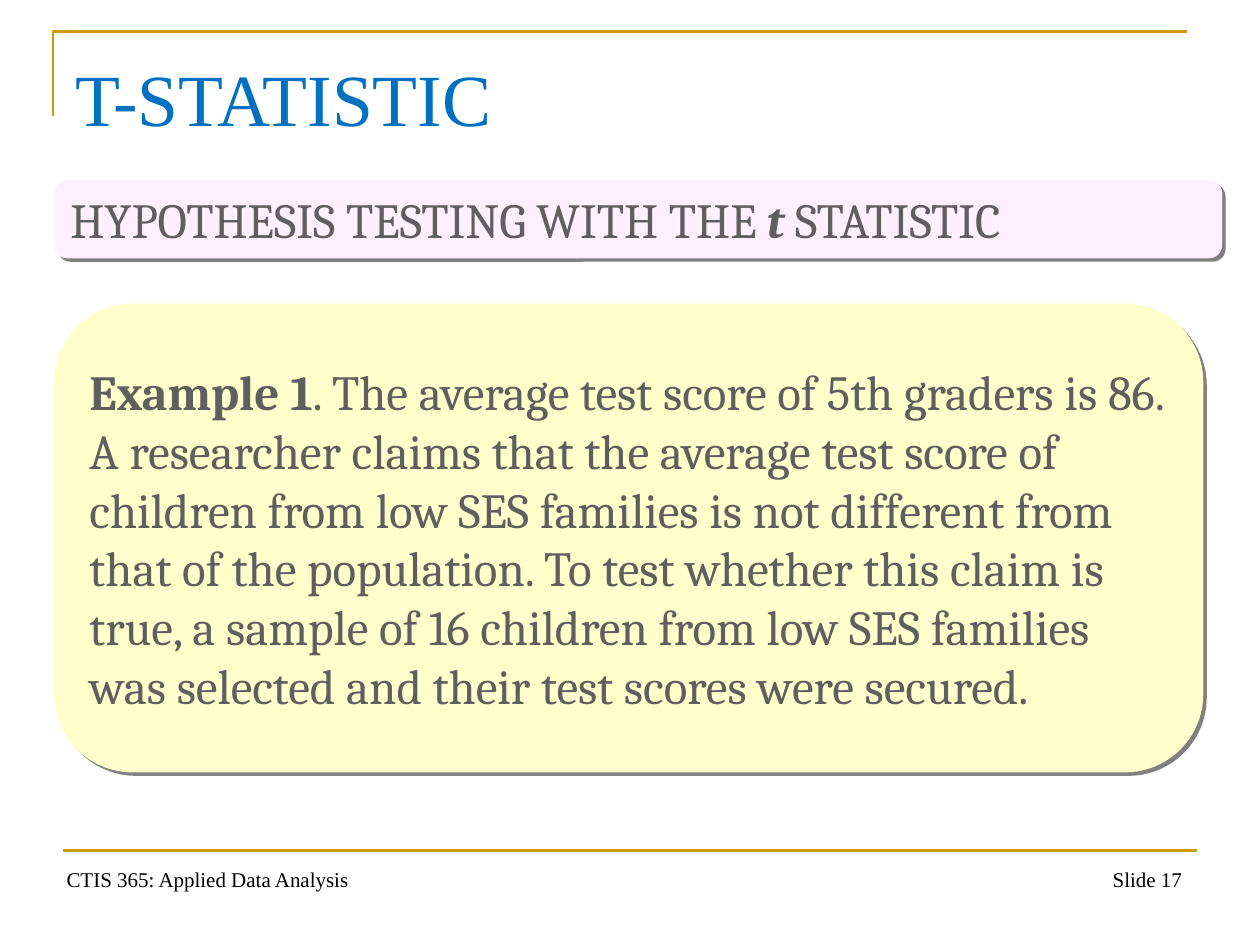
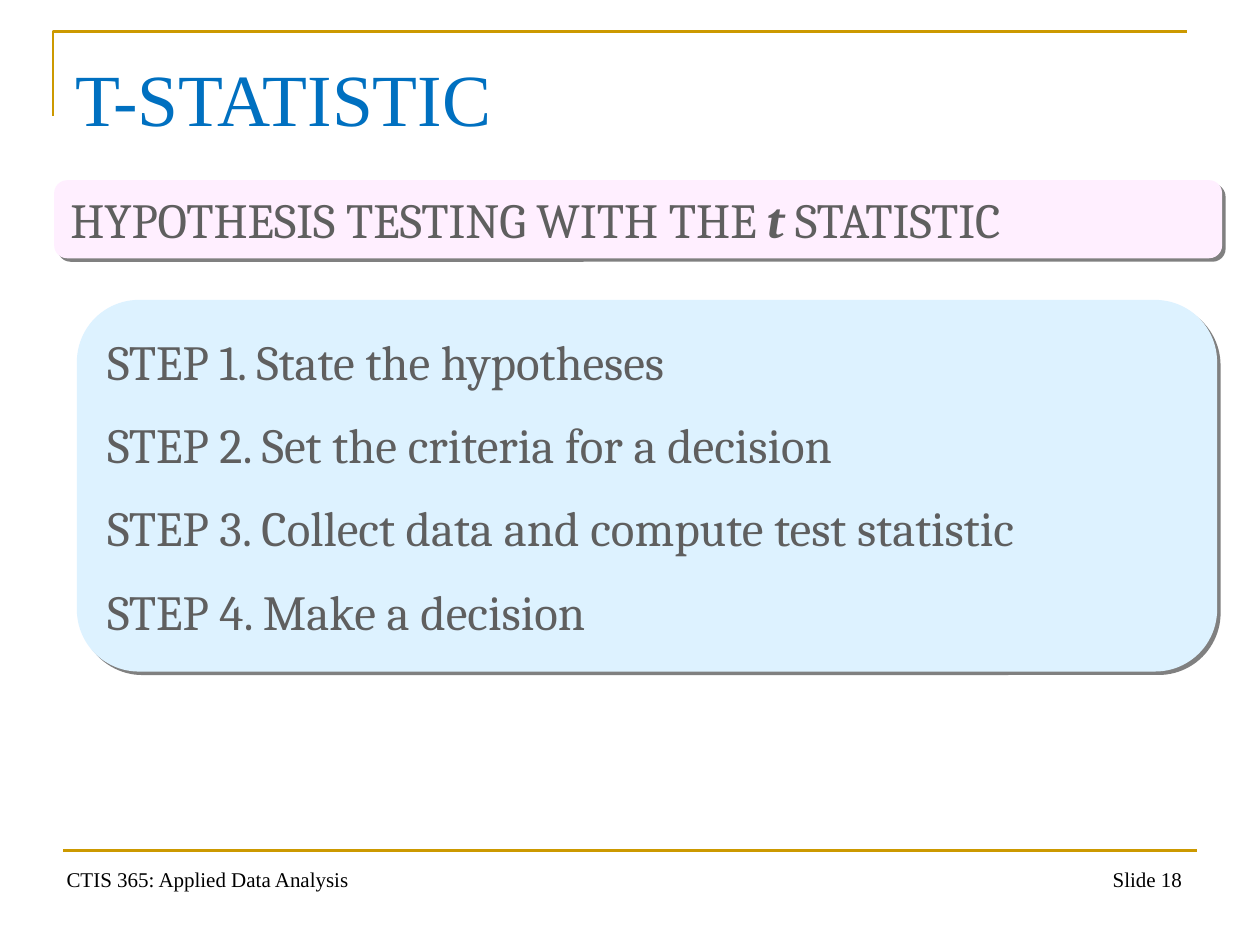
import pptx
import pptx.dml.color
import pptx.enum.shapes
import pptx.enum.text
import pptx.oxml
import pptx.oxml.ns
import pptx.util
from pptx.util import Inches

COLORS = {
    "gold": "CC9900", "title": "0070C0", "text": "5F5F5F", "foot": "000000",
    "shade": "808080", "pink": "FFEFFF", "cream": "FFFFCC", "sky": "DDF2FF",
}
TOP, MIDDLE, BOTTOM = (
    pptx.enum.text.MSO_ANCHOR.TOP,
    pptx.enum.text.MSO_ANCHOR.MIDDLE,
    pptx.enum.text.MSO_ANCHOR.BOTTOM,
)
LEFT, RIGHT = pptx.enum.text.PP_ALIGN.LEFT, pptx.enum.text.PP_ALIGN.RIGHT

# Font formats
SERIF = "Times New Roman"
TITLE = {"name": SERIF, "size": pptx.util.Pt(42), "color": "title"}
FOOT = {"name": SERIF, "size": pptx.util.Pt(12), "color": "foot"}
BODY = {"name": "Cambria", "size": pptx.util.Pt(28), "color": "text"}
BOLD = {"bold": True}
STAT = {"bold": True, "italic": True}


def rgb(key):
    return pptx.dml.color.RGBColor.from_string(COLORS[key])


class Deck:
    def __init__(self):
        self.file = pptx.Presentation()
        self.file.slide_width, self.file.slide_height = Inches(10), Inches(7.5)
        self.slide = None

    def page(self, number):
        """Start a slide with the shared frame, title, topic and footer."""
        self.slide = self.file.slides.add_slide(self.file.slide_layouts[6])
        self.corner()
        self.rule()
        self.label("CTIS 365: Applied Data Analysis", (0.43, 6.82, 3.17, 0.31),
                   FOOT, anchor=BOTTOM)
        self.label(f"Slide {number}", (7.15, 6.83, 2.33, 0.52), FOOT, align=RIGHT)
        self.label("T-STATISTIC", (0.5, 0.3, 9, 1.25), TITLE, inset=0.12)
        self.panel((0.43, 1.43, 9.27, 0.62), "pink", [[
            ("HYPOTHESIS TESTING WITH THE ", {}), ("t", STAT), (" STATISTIC", {})]])

    def stroke(self, line):
        line.color.rgb = rgb("gold")
        line.width = pptx.util.Pt(1.5)

    def corner(self):
        pen = self.slide.shapes.build_freeform(Inches(0.42), Inches(0.92))
        pen.add_line_segments(
            [(Inches(x), Inches(0.25)) for x in (0.42, 9.42)], close=False)
        shape = pen.convert_to_shape()
        shape.shadow.inherit = False
        shape.fill.background()
        self.stroke(shape.line)

    def rule(self):
        line = self.slide.shapes.add_connector(
            pptx.enum.shapes.MSO_CONNECTOR.STRAIGHT,
            Inches(0.5), Inches(6.75), Inches(9.5), Inches(6.75))
        self.stroke(line.line)
        line._element.spPr.append(pptx.oxml.parse_xml(
            f"<a:effectLst {pptx.oxml.ns.nsdecls('a')}/>"))

    def text(self, frame, paras, style, anchor, align=LEFT, gap=0):
        """Fill a text frame; each paragraph is a list of (text, format) runs."""
        frame.word_wrap = True
        frame.vertical_anchor = anchor
        for i, runs in enumerate(paras):
            para = frame.add_paragraph() if i else frame.paragraphs[0]
            para.alignment = align
            para.space_before = pptx.util.Pt(gap)
            for words, extra in runs:
                run = para.add_run()
                run.text = words
                for key, value in {**style, **extra}.items():
                    if key == "color":
                        run.font.color.rgb = rgb(value)
                    else:
                        setattr(run.font, key, value)

    def label(self, words, area, style, anchor=TOP, align=LEFT, inset=0.05):
        frame = self.slide.shapes.add_textbox(*map(Inches, area)).text_frame
        frame.margin_top = Inches(inset)
        self.text(frame, [[(words, {})]], style, anchor, align)

    def panel(self, area, fill, paras):
        shape = self.slide.shapes.add_shape(
            pptx.enum.shapes.MSO_SHAPE.ROUNDED_RECTANGLE, *map(Inches, area))
        shape.adjustments[0] = 0.167
        shape.fill.solid()
        shape.fill.fore_color.rgb = rgb(fill)
        shape.line.fill.background()
        self.shade(shape)
        self.text(shape.text_frame, paras, BODY, MIDDLE, gap=14)

    def shade(self, shape):
        """Hard grey shadow, down and to the right."""
        shape.shadow.inherit = False
        effects = shape._element.spPr.find(pptx.oxml.ns.qn("a:effectLst"))
        effects.append(pptx.oxml.parse_xml(
            f"<a:outerShdw {pptx.oxml.ns.nsdecls('a')} blurRad='0'"
            f" dist='{pptx.util.Pt(2.8)}' dir='2700000' algn='ctr' rotWithShape='0'>"
            f"<a:srgbClr val='{COLORS['shade']}'/></a:outerShdw>"))


def main():
    deck = Deck()

    # Example
    deck.page(17)
    deck.panel((0.43, 2.41, 9.12, 3.72), "cream", [[
        ("Example 1", BOLD),
        (". The average test score of 5th graders is 86. A researcher claims that "
         "the average test score of children from low SES families is not different "
         "from that of the population. To test whether this claim is true, a sample "
         "of 16 children from low SES families was selected and their test scores "
         "were secured.", {})]])

    # Steps
    deck.page(18)
    steps = ("State the hypotheses", "Set the criteria for a decision",
             "Collect data and compute test statistic", "Make a decision")
    deck.panel((0.61, 2.38, 9.05, 2.95), "sky", [
        [(f"STEP {i}. {step}", {})] for i, step in enumerate(steps, 1)])

    deck.file.save("out.pptx")


if __name__ == "__main__":
    main()
